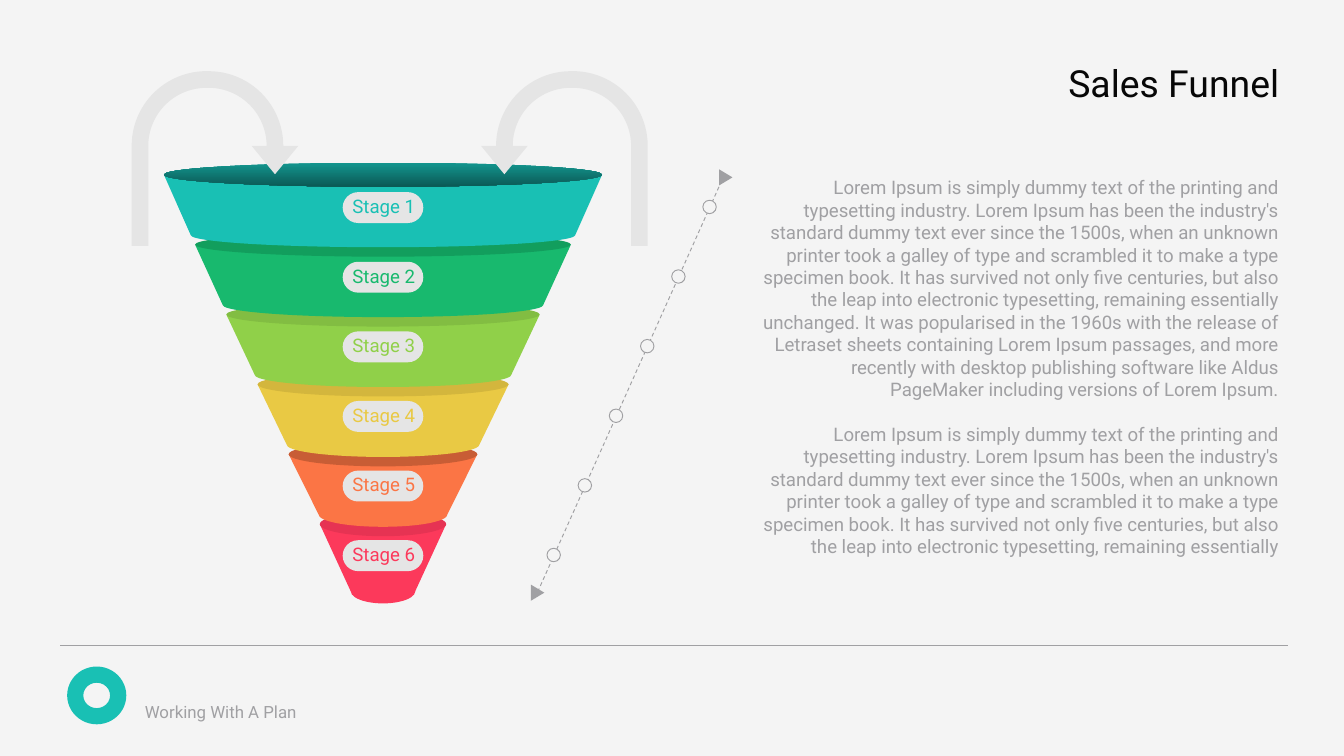
import lxml.etree
import pptx
import pptx.dml.color
import pptx.enum.dml
import pptx.enum.shapes
import pptx.enum.text
import pptx.oxml.ns
import pptx.util

Inches = pptx.util.Inches
Shape = pptx.enum.shapes.MSO_SHAPE
Align = pptx.enum.text.PP_ALIGN
Anchor = pptx.enum.text.MSO_ANCHOR


class Theme:
    font = "Roboto"
    paper = "F4F4F4"
    ink = "070707"
    gray = "A0A0A3"
    pale = "E5E5E5"
    teal = "19C0B4"
    rim = ("13968F", "0B5955")
    bands = (teal, "18B96E", "90D049", "E9C944", "FB7545", "FC395B")
    lids = (rim, "129E5D", "82BD42", "D3B63D", "C85D35", "E63353")
    title = 20
    body = 10
    small = 9
    rule = 0.5


COUNT = len(Theme.bands)
MID = 2.85
BASIC = (
    "Lorem Ipsum is simply dummy text of the printing and typesetting industry. "
    "Lorem Ipsum has been the industry's standard dummy text ever since the 1500s, "
    "when an unknown printer took a galley of type and scrambled it to make a type "
    "specimen book. It has survived not only five centuries, but also the leap into "
    "electronic typesetting, remaining essentially"
)
MORE = (
    " unchanged. It was popularised in the 1960s with the release of Letraset sheets "
    "containing Lorem Ipsum passages, and more recently with desktop publishing "
    "software like Aldus PageMaker including versions of Lorem Ipsum."
)


def color(code):
    return pptx.dml.color.RGBColor.from_string(code)


def blend(first, last, step):
    return first + (last - first) * step / (COUNT - 1)


def place(item, x, y, w, h):
    item.left, item.top = Inches(x), Inches(y)
    item.width, item.height = Inches(w), Inches(h)


def paint(item, fill):
    item.shadow.inherit = False
    item.line.fill.background()
    if isinstance(fill, tuple):
        item.fill.gradient()
        item.fill.gradient_angle = 270
        for stop, code in zip(item.fill.gradient_stops, fill):
            stop.color.rgb = color(code)
    else:
        item.fill.solid()
        item.fill.fore_color.rgb = color(fill)


def shape(owner, kind, x, y, w, h, fill):
    item = owner.shapes.add_shape(kind, Inches(x), Inches(y), Inches(w), Inches(h))
    paint(item, fill)
    return item


def style(para, size, code, align):
    para.alignment = align
    for run in para.runs:
        run.font.name = Theme.font
        run.font.size = pptx.util.Pt(size)
        run.font.color.rgb = color(code)


def text(owner, words, x, y, w, h, size, code, align):
    box = owner.shapes.add_textbox(Inches(x), Inches(y), Inches(w), Inches(h))
    box.text_frame.word_wrap = True
    box.text_frame.text = words
    style(box.text_frame.paragraphs[0], size, code, align)


def line(slide, x1, y1, x2, y2, dash=None):
    item = slide.shapes.add_connector(
        pptx.enum.shapes.MSO_CONNECTOR.STRAIGHT,
        Inches(x1), Inches(y1), Inches(x2), Inches(y2),
    )
    item.line.color.rgb = color(Theme.gray)
    item.line.width = pptx.util.Pt(Theme.rule)
    if dash:
        item.line.dash_style = dash
    lxml.etree.SubElement(item.element.spPr, pptx.oxml.ns.qn("a:effectLst"))


def title(slide):
    item = slide.shapes.title
    place(item, 6.1, 0.32, 3.52, 0.51)
    frame = item.text_frame
    frame.text = "Sales Funnel"
    frame.auto_size = pptx.enum.text.MSO_AUTO_SIZE.NONE
    frame.vertical_anchor = Anchor.BOTTOM
    style(frame.paragraphs[0], Theme.title, Theme.ink, Align.RIGHT)


def body(slide):
    item = slide.placeholders[1]
    place(item, 5.54, 1.26, 4.07, 2.96)
    frame = item.text_frame
    frame.text = BASIC + MORE + "\n" + BASIC
    frame.auto_size = pptx.enum.text.MSO_AUTO_SIZE.NONE
    for para, gap in zip(frame.paragraphs, (0, 12)):
        style(para, Theme.body, Theme.gray, Align.RIGHT)
        para.space_before = pptx.util.Pt(gap)
        props = para._p.get_or_add_pPr()
        props.set("marL", "0")
        props.set("indent", "0")
        lxml.etree.SubElement(props, pptx.oxml.ns.qn("a:buNone"))


def footer(slide):
    line(slide, 0.45, 4.8, 9.58, 4.8)
    ring = shape(slide, Shape.DONUT, 0.5, 4.96, 0.44, 0.43, Theme.teal)
    ring.adjustments[0] = 0.28
    text(slide, "Working With A Plan", 0.98, 5.17, 2.03, 0.25, Theme.small, Theme.gray, Align.LEFT)


def disc(slide, half, y, fill):
    shape(slide, Shape.OVAL, MID - half, y - 0.09, 2 * half, 0.18, fill)


def band(slide, step):
    top = blend(1.3, 3.9, step)
    base = top + (0.5 if step == COUNT - 1 else 0.45)
    wide = blend(1.63, 0.47, step)
    slim = blend(1.43, 0.24, step)
    fill = Theme.bands[step]
    disc(slide, slim, base, fill)
    pen = slide.shapes.build_freeform(Inches(MID - wide), Inches(top))
    pen.add_line_segments([
        (Inches(MID - slim), Inches(base)),
        (Inches(MID + slim), Inches(base)),
        (Inches(MID + wide), Inches(top)),
    ])
    paint(pen.convert_to_shape(), fill)
    disc(slide, wide, top, Theme.lids[step])


def arrow(slide, x, flip):
    item = shape(slide, Shape.U_TURN_ARROW, x, 0.53, 1.24, 1.3, Theme.pale)
    for spot, value in enumerate((0.1, 0.14, 0.17, 0.45, 0.59)):
        item.adjustments[spot] = value
    if flip:
        item.element.spPr.get_or_add_xfrm().set("flipH", "1")


def label(slide, step):
    group = slide.shapes.add_group_shape()
    y = blend(1.43, 4.02, step)
    pill = shape(group, Shape.ROUNDED_RECTANGLE, 2.55, y, 0.6, 0.23, Theme.pale)
    pill.adjustments[0] = 0.5
    text(group, f"Stage {step + 1}", 2.49, y - 0.03, 0.73, 0.27,
         Theme.body, Theme.bands[step], Align.CENTER)


def scale(slide):
    line(slide, 5.39, 1.3, 3.98, 4.45, pptx.enum.dml.MSO_LINE.DASH)
    for x, y in ((5.34, 1.27), (3.94, 4.36)):
        shape(slide, Shape.ISOSCELES_TRIANGLE, x, y, 0.12, 0.1, Theme.gray).rotation = 90
    for step in range(COUNT):
        x, y = blend(5.23, 4.07, step), blend(1.49, 4.08, step)
        dot = shape(slide, Shape.OVAL, x, y, 0.1, 0.1, Theme.paper)
        dot.line.color.rgb = color(Theme.gray)
        dot.line.width = pptx.util.Pt(Theme.rule)


def main():
    deck = pptx.Presentation()
    deck.slide_width = Inches(10)
    deck.slide_height = deck.slide_width * 9 // 16
    slide = deck.slides.add_slide(deck.slide_layouts[1])
    slide.background.fill.solid()
    slide.background.fill.fore_color.rgb = color(Theme.paper)
    footer(slide)
    title(slide)
    body(slide)
    for step in reversed(range(COUNT)):
        band(slide, step)
    arrow(slide, 0.98, False)
    arrow(slide, 3.58, True)
    for step in reversed(range(COUNT)):
        label(slide, step)
    scale(slide)
    deck.save("out.pptx")


if __name__ == "__main__":
    main()
